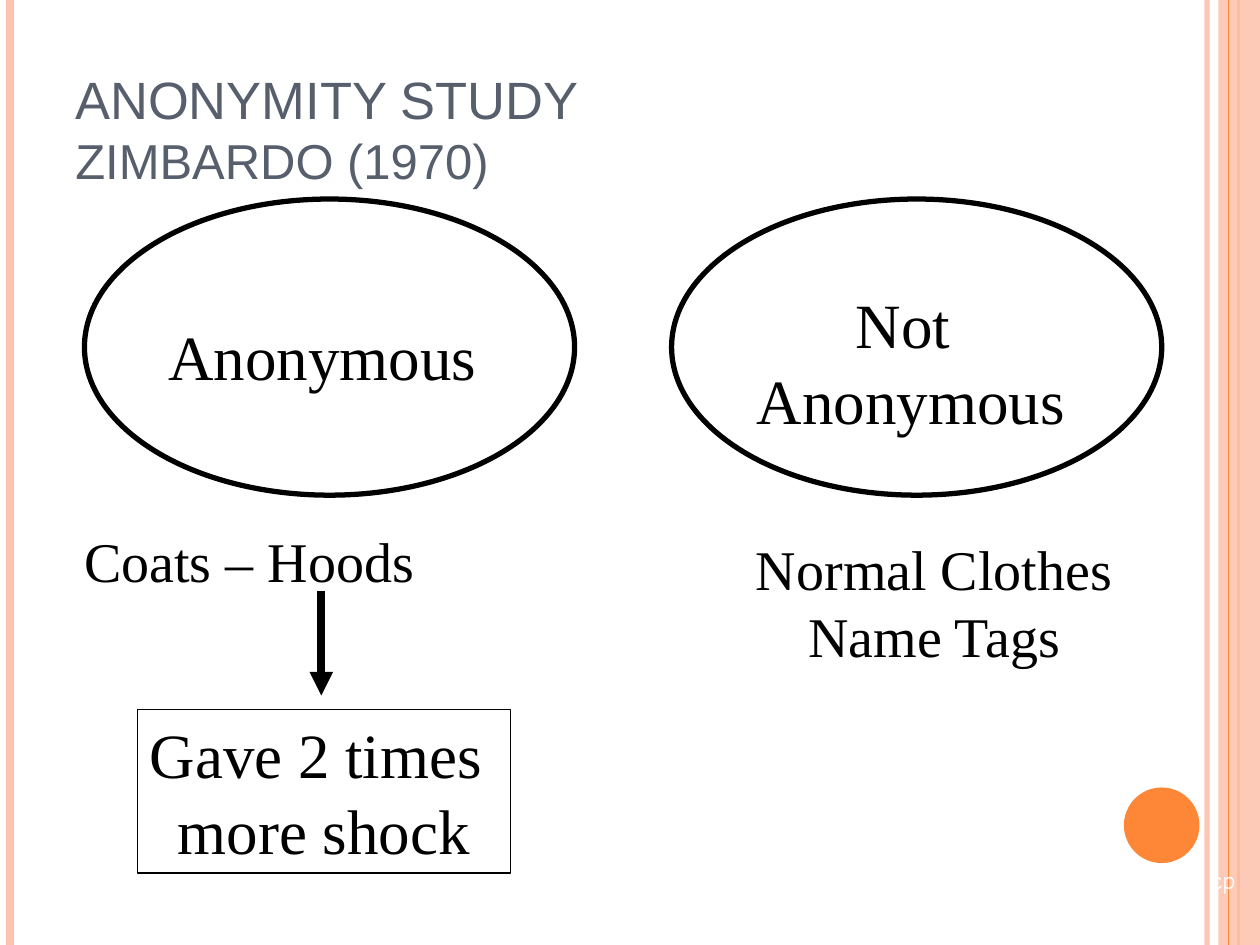
from dataclasses import dataclass

from lxml import etree
from pptx import Presentation
from pptx.dml.color import RGBColor
from pptx.enum import shapes, text
from pptx.oxml import ns
from pptx.util import Inches, Pt


@dataclass(frozen=True)
class Theme:
    peach: str = "FEC3AE"
    orange: str = "FE8637"
    slate: str = "575F6D"
    black: str = "000000"
    white: str = "FFFFFF"
    title_font: str = "Arial"
    body_font: str = "Times New Roman"
    mark_font: str = "Comic Neue"
    title_size: int = 30
    subtitle_size: int = 28
    label_size: int = 36
    detail_size: int = 32
    mark_size: int = 14


THEME = Theme()


def set_alpha(element, percent):
    color = next(element.iter(ns.qn("a:srgbClr")))
    etree.SubElement(color, ns.qn("a:alpha")).set("val", str(percent * 1000))


def add_line(page, start, end, color, width, alpha=None, arrow=False):
    line = page.shapes.add_connector(
        shapes.MSO_CONNECTOR.STRAIGHT, *map(Inches, start + end))
    line.line.color.rgb = RGBColor.from_string(color)
    line.line.width = Pt(width)
    outline = line.line._get_or_add_ln()
    if alpha:
        set_alpha(outline, alpha)
    if arrow:
        etree.SubElement(outline, ns.qn("a:tailEnd")).set("type", "triangle")
    etree.SubElement(line._element.spPr, ns.qn("a:effectLst"))


def add_figure(page, kind, place, fill=None, line=None, width=1, alpha=None):
    figure = page.shapes.add_shape(kind, *map(Inches, place))
    figure.shadow.inherit = False
    if fill:
        figure.fill.solid()
        figure.fill.fore_color.rgb = RGBColor.from_string(fill)
        if alpha:
            set_alpha(figure._element.spPr, alpha)
    else:
        figure.fill.background()
    if line:
        figure.line.color.rgb = RGBColor.from_string(line)
        figure.line.width = Pt(width)
    else:
        figure.line.fill.background()
    return figure


def style_span(span, font, size, color):
    span.font.name = font
    span.font.size = Pt(size)
    span.font.color.rgb = RGBColor.from_string(color)


def fill_text(box, words, size, font=THEME.body_font, color=THEME.black,
              align=text.PP_ALIGN.CENTER):
    frame = box.text_frame
    frame.word_wrap = False
    frame.auto_size = text.MSO_AUTO_SIZE.SHAPE_TO_FIT_TEXT
    frame.vertical_anchor = text.MSO_ANCHOR.TOP
    frame.text = words
    for para in frame.paragraphs:
        para.alignment = align
        for span in para.runs:
            style_span(span, font, size, color)


def add_label(page, place, words, size, **style):
    fill_text(page.shapes.add_textbox(*map(Inches, place)), words, size, **style)


def add_title(page, title, subtitle):
    box = page.shapes.add_textbox(Inches(0.5), Inches(0.3), Inches(8.17), Inches(1.25))
    frame = box.text_frame
    frame.word_wrap = True
    frame.vertical_anchor = text.MSO_ANCHOR.BOTTOM
    para = frame.paragraphs[0]
    para.text = f"{title}\v{subtitle}"
    for span, size in zip(para.runs, (THEME.title_size, THEME.subtitle_size)):
        style_span(span, THEME.title_font, size, THEME.slate)


def add_side_bands(page):
    def vertical(x, color, width, alpha=None):
        add_line(page, (x, 0), (x, 7.5), color, width, alpha)

    vertical(9.58, THEME.peach, 3, alpha=93)
    vertical(0.08, THEME.peach, 4.5)
    vertical(9.83, THEME.orange, 1.5)
    add_figure(page, shapes.MSO_SHAPE.RECTANGLE, (9.67, 0, 0.33, 7.5),
               fill=THEME.peach, alpha=87)
    vertical(9.75, THEME.orange, 0.75)
    add_figure(page, shapes.MSO_SHAPE.OVAL, (8.92, 6.25, 0.6, 0.6), fill=THEME.orange)


def main():
    deck = Presentation()
    deck.slide_width, deck.slide_height = Inches(10), Inches(7.5)
    page = deck.slides.add_slide(deck.slide_layouts[6])
    left = text.PP_ALIGN.LEFT

    add_side_bands(page)
    add_title(page, "ANONYMITY STUDY", "ZIMBARDO (1970)")
    add_label(page, (9.51, 6.82, 0.4, 0.34), "cp", THEME.mark_size,
              font=THEME.mark_font, color=THEME.white, align=left)

    for x in (0.67, 5.33):
        add_figure(page, shapes.MSO_SHAPE.OVAL, (x, 1.58, 3.89, 2.35),
                   line=THEME.black, width=3)
    add_label(page, (1.21, 2.47, 2.7, 0.7), "Anonymous", THEME.label_size)
    add_label(page, (5.88, 2.22, 2.7, 1.3), "Not \nAnonymous", THEME.label_size)

    add_label(page, (0.57, 4.13, 2.82, 0.64), "Coats – Hoods",
              THEME.detail_size, align=left)
    add_label(page, (5.9, 4.19, 3.03, 1.17), "Normal Clothes\nName Tags",
              THEME.detail_size)

    result = add_figure(page, shapes.MSO_SHAPE.RECTANGLE, (1.09, 5.63, 2.96, 1.3),
                        line=THEME.black, width=0.75)
    fill_text(result, "Gave 2 times \nmore shock", THEME.label_size)
    add_line(page, (2.55, 4.69), (2.55, 5.52), THEME.black, 4.5, arrow=True)

    deck.save("out.pptx")


if __name__ == "__main__":
    main()
